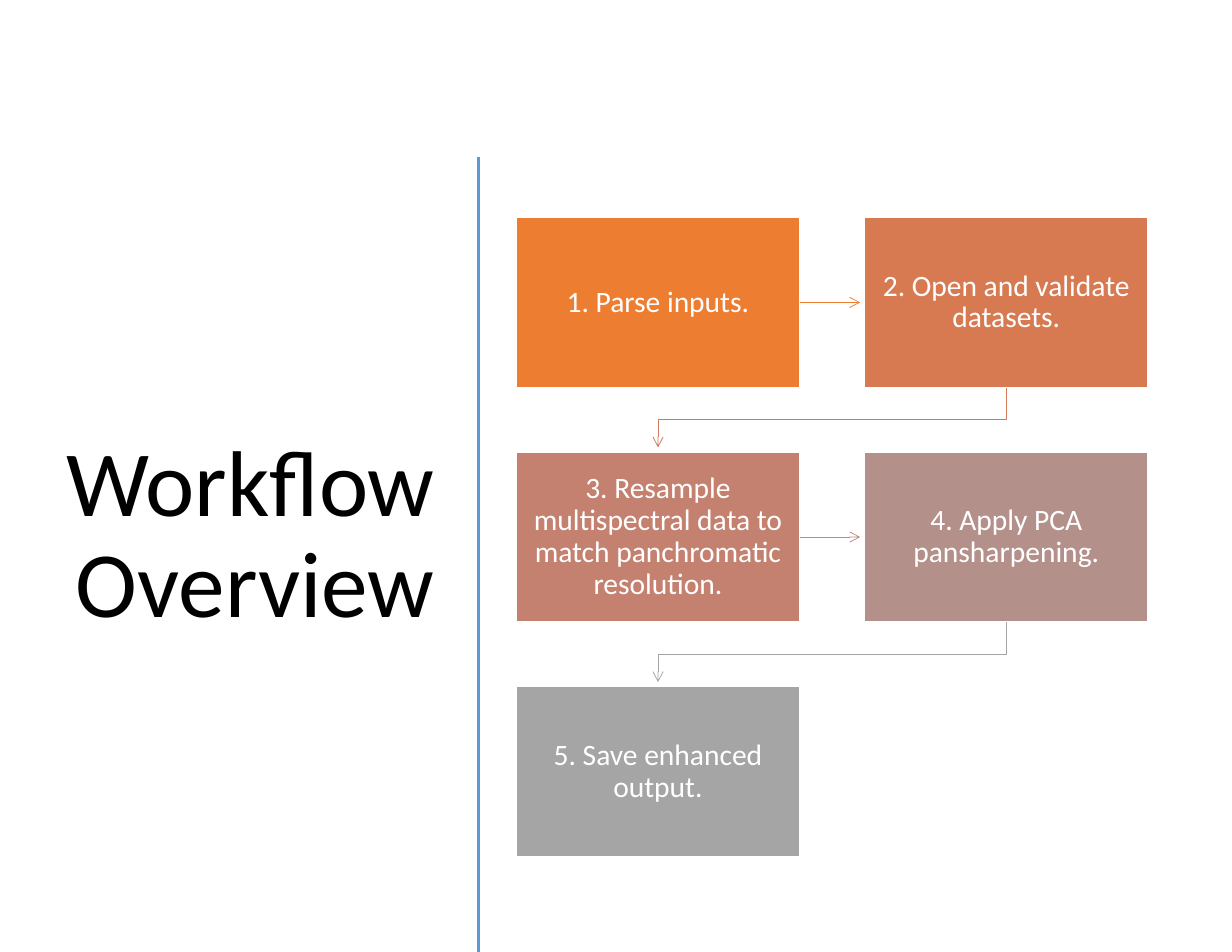
"""Build the workflow overview slide: a title beside a five-step snaking flow."""
import dataclasses

import lxml.etree
import pptx
import pptx.dml.color
import pptx.enum.shapes
import pptx.enum.text
import pptx.oxml.ns
import pptx.util

Inches = pptx.util.Inches
Pt = pptx.util.Pt
Color = pptx.dml.color.RGBColor.from_string
qn = pptx.oxml.ns.qn


@dataclasses.dataclass(frozen=True)
class Theme:
    font: str = "Calibri"
    title_size: int = 60
    step_size: int = 19
    ink: str = "000000"
    white: str = "FFFFFF"
    divider: str = "5B9BD5"
    fills: tuple = ("ED7D31", "D87A51", "C48170", "B4908B", "A5A5A5")
    arrows: tuple = ("ED7D31", "D17B5C", "B98A82", "A5A5A5")


def write(frame, text, size, color, align):
    frame.word_wrap = True
    frame.vertical_anchor = pptx.enum.text.MSO_ANCHOR.MIDDLE
    para = frame.paragraphs[0]
    para.alignment = align
    para.line_spacing = 0.9
    span = para.add_run()
    span.text = text
    span.font.name = theme.font
    span.font.size = Pt(size)
    span.font.color.rgb = Color(color)


def style_line(shape, color, width, arrow=False):
    shape.line.color.rgb = Color(color)
    shape.line.width = Pt(width)
    if arrow:
        lxml.etree.SubElement(shape.line._get_or_add_ln(), qn("a:tailEnd"), type="arrow")
    properties = shape._element.spPr
    if properties.find(qn("a:effectLst")) is None:
        lxml.etree.SubElement(properties, qn("a:effectLst"))


theme = Theme()
align = pptx.enum.text.PP_ALIGN
straight = pptx.enum.shapes.MSO_CONNECTOR.STRAIGHT
deck = pptx.Presentation()
deck.slide_width, deck.slide_height = Inches(11), Inches(8.5)
page = deck.slides.add_slide(deck.slide_layouts[6])

title = page.shapes.add_textbox(Inches(0.43), Inches(1.33), Inches(3.55), Inches(6.92))
write(title.text_frame, "Workflow Overview", theme.title_size, theme.ink, align.RIGHT)

divider = page.shapes.add_connector(straight, Inches(4.27), Inches(1.4), Inches(4.27), Inches(8.5))
style_line(divider, theme.divider, 2)

steps = (
    "1. Parse inputs.",
    "2. Open and validate datasets.",
    "3. Resample multispectral data to match panchromatic resolution.",
    "4. Apply PCA pansharpening.",
    "5. Save enhanced output.",
)
left, top = Inches(4.61), Inches(1.94)
width, height = Inches(2.53), Inches(1.52)
column_step, row_step = Inches(3.11), Inches(2.095)
arrow_gap = Inches(0.04)

boxes = []
for index, (text, fill) in enumerate(zip(steps, theme.fills)):
    row, column = divmod(index, 2)
    box = page.shapes.add_shape(
        pptx.enum.shapes.MSO_SHAPE.RECTANGLE,
        left + column * column_step, top + row * row_step, width, height,
    )
    box.shadow.inherit = False
    box.fill.solid()
    box.fill.fore_color.rgb = Color(fill)
    style_line(box, theme.white, 1)
    frame = box.text_frame
    frame.margin_left = frame.margin_right = Inches(0.12)
    frame.margin_top = frame.margin_bottom = Inches(0.13)
    write(frame, text, theme.step_size, theme.white, align.CENTER)
    boxes.append(box)

for index, color in enumerate(theme.arrows):
    source, target = boxes[index], boxes[index + 1]
    if source.top == target.top:
        middle = source.top + height // 2
        arrow = page.shapes.add_connector(
            straight, source.left + width, middle, target.left - arrow_gap, middle
        )
        arrow.begin_connect(source, 3)
    else:
        start_x, end_x = source.left + width // 2, target.left + width // 2
        bottom = source.top + height
        bend = (bottom + target.top) // 2
        builder = page.shapes.build_freeform(start_x, bottom)
        builder.add_line_segments(
            [(start_x, bend), (end_x, bend), (end_x, target.top - arrow_gap)], close=False
        )
        arrow = builder.convert_to_shape()
        arrow.shadow.inherit = False
        arrow.fill.background()
    style_line(arrow, color, 0.5, arrow=True)

deck.save("out.pptx")
